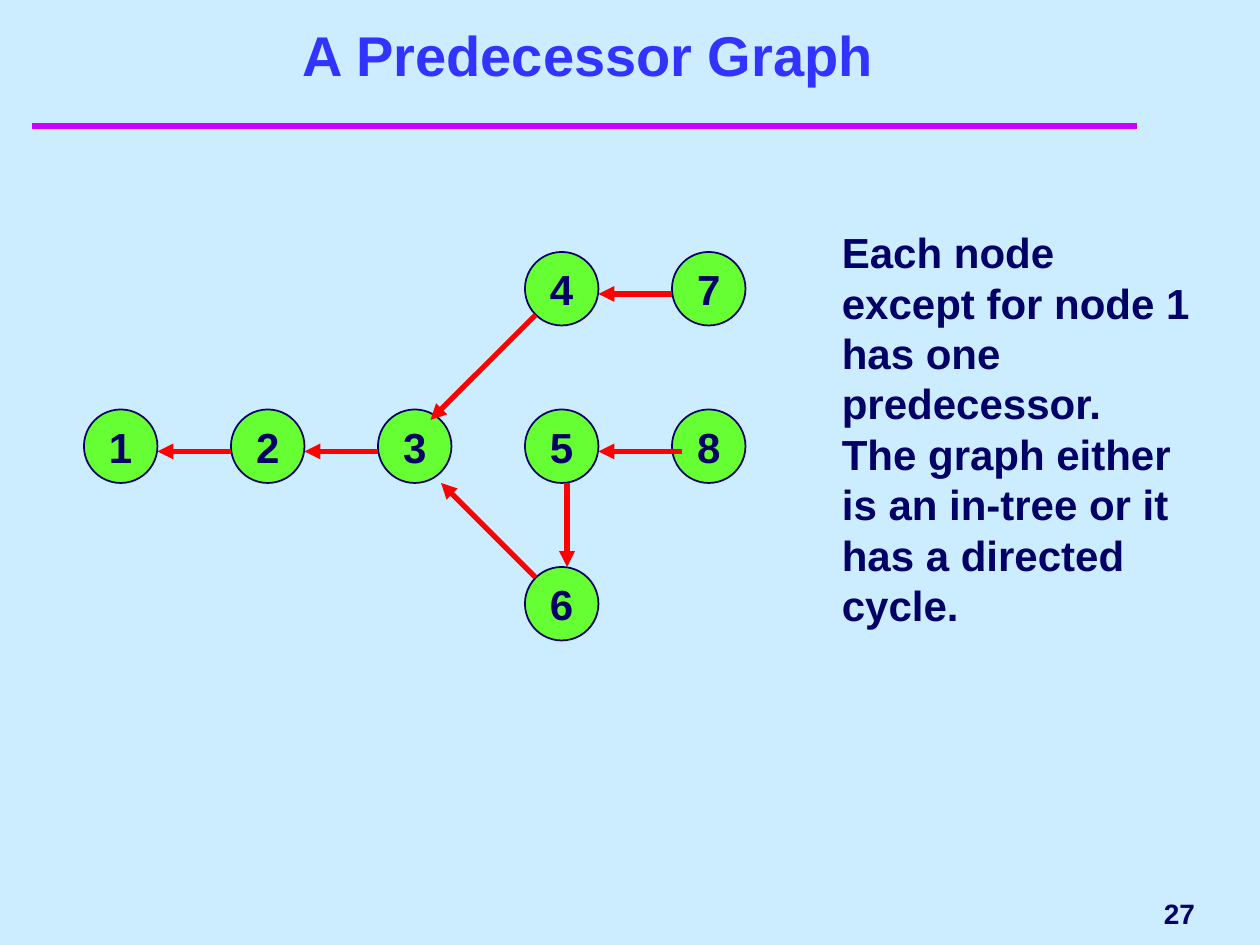
from dataclasses import dataclass

from lxml import etree
from pptx import Presentation
from pptx.dml.color import RGBColor
from pptx.enum.shapes import MSO_CONNECTOR, MSO_SHAPE
from pptx.enum.text import MSO_ANCHOR, PP_ALIGN
from pptx.oxml.ns import qn
from pptx.util import Pt

STRAIGHT = MSO_CONNECTOR.STRAIGHT
OVAL = MSO_SHAPE.OVAL
MIDDLE, TOP, BOTTOM = MSO_ANCHOR.MIDDLE, MSO_ANCHOR.TOP, MSO_ANCHOR.BOTTOM
LEFT, CENTER, RIGHT = PP_ALIGN.LEFT, PP_ALIGN.CENTER, PP_ALIGN.RIGHT


@dataclass(frozen=True)
class Theme:
    """Colours, font and sizes of the slide."""
    background: RGBColor = RGBColor.from_string("CCECFF")
    title: RGBColor = RGBColor.from_string("3333FF")
    rule: RGBColor = RGBColor.from_string("CC00FF")
    ink: RGBColor = RGBColor.from_string("000066")
    node: RGBColor = RGBColor.from_string("66FF33")
    arrow: RGBColor = RGBColor.from_string("FF0000")
    font: str = "Arial"
    title_size: int = 32
    body_size: int = 24
    number_size: int = 16
    body_leading: float = 28.8


THEME = Theme()
NODE_SIZE, COLUMN_STEP, ROW_STEP = 42, 84, 90
NODE_CELLS = {"1": (0, 1), "2": (1, 1), "3": (2, 1), "4": (3, 0),
              "7": (4, 0), "6": (3, 2), "5": (3, 1), "8": (4, 1)}
LEFT_PORT, RIGHT_PORT = (0, 24), (NODE_SIZE, 24)
TOP_PORT, BOTTOM_PORT = (24, 0), (24, NODE_SIZE)
ARROWS = [
    ("2", LEFT_PORT, "1", RIGHT_PORT),
    ("3", LEFT_PORT, "2", RIGHT_PORT),
    ("8", (6, 24), "5", RIGHT_PORT),
    ("5", BOTTOM_PORT, "6", TOP_PORT),
    ("6", (6, 6), "3", (36, NODE_SIZE)),
    ("4", (6, 36), "3", (30, 6)),
    ("7", LEFT_PORT, "4", RIGHT_PORT),
]


def write_text(shape, text, size, color, alignment, anchor, wrap=True):
    """Set one bold paragraph of text in a shape."""
    frame = shape.text_frame
    frame.text = text
    frame.word_wrap = wrap
    frame.vertical_anchor = anchor
    paragraph = frame.paragraphs[0]
    paragraph.alignment = alignment
    font = paragraph.runs[0].font
    font.name, font.size, font.bold = THEME.font, Pt(size), True
    font.color.rgb = color
    return paragraph


def add_line(shapes, start, end, color, width, arrowhead=False):
    """Draw a straight line, with an optional arrowhead at its end."""
    line = shapes.add_connector(STRAIGHT, *map(Pt, (*start, *end)))
    line.line.color.rgb = color
    line.line.width = Pt(width)
    if arrowhead:
        etree.SubElement(line.line._get_or_add_ln(), qn("a:tailEnd"), type="triangle")
    etree.SubElement(line._element.spPr, qn("a:effectLst"))


def add_title(slide, box):
    """Place the title in its box and the rule below it."""
    title = slide.shapes.title
    title.left, title.top, title.width, title.height = map(Pt, box)
    write_text(title, "A Predecessor Graph", THEME.title_size, THEME.title, CENTER, BOTTOM)
    left, top, width, height = box
    rule_top = top + height + 18
    add_line(slide.shapes, (left - 12, rule_top), (left + width + 8, rule_top), THEME.rule, 4)


def add_note(slide, box):
    """Place the explanation beside the graph."""
    note = slide.shapes.add_textbox(*map(Pt, box))
    paragraph = write_text(
        note,
        "Each node except for node 1 has one predecessor.  "
        "The graph either is an in-tree or it has a directed cycle.",
        THEME.body_size, THEME.ink, LEFT, TOP)
    paragraph.line_spacing = Pt(THEME.body_leading)


def add_graph(slide, box):
    """Draw the numbered nodes and their arrows from the top left of the box."""
    left, top = box[:2]
    shapes = slide.shapes.add_group_shape().shapes
    corners = {label: (left + column * COLUMN_STEP, top + row * ROW_STEP)
               for label, (column, row) in NODE_CELLS.items()}
    for label, (x, y) in corners.items():
        node = shapes.add_shape(OVAL, Pt(x), Pt(y), Pt(NODE_SIZE), Pt(NODE_SIZE))
        node.shadow.inherit = False
        node.fill.solid()
        node.fill.fore_color.rgb = THEME.node
        node.line.color.rgb = THEME.ink
        node.line.width = Pt(1)
        write_text(node, label, THEME.body_size, THEME.ink, CENTER, MIDDLE, wrap=False)
    for source, source_port, target, target_port in ARROWS:
        start = [a + b for a, b in zip(corners[source], source_port)]
        end = [a + b for a, b in zip(corners[target], target_port)]
        add_line(shapes, start, end, THEME.arrow, 3, arrowhead=True)


def add_page_number(slide, box):
    """Place the page number at the bottom right."""
    number = slide.shapes.add_textbox(*map(Pt, box))
    write_text(number, "27", THEME.number_size, THEME.ink, RIGHT, MIDDLE, wrap=False)


def main():
    """Build and save the slide."""
    presentation = Presentation()
    presentation.slide_width, presentation.slide_height = Pt(720), Pt(540)
    slide = presentation.slides.add_slide(presentation.slide_layouts[5])
    slide.background.fill.solid()
    slide.background.fill.fore_color.rgb = THEME.background
    add_title(slide, (30, 12, 612, 42))
    add_page_number(slide, (552, 504, 138, 36))
    add_note(slide, (474, 126, 216, 237.6))
    add_graph(slide, (48, 144, 378, 222))
    presentation.save("out.pptx")


if __name__ == "__main__":
    main()
